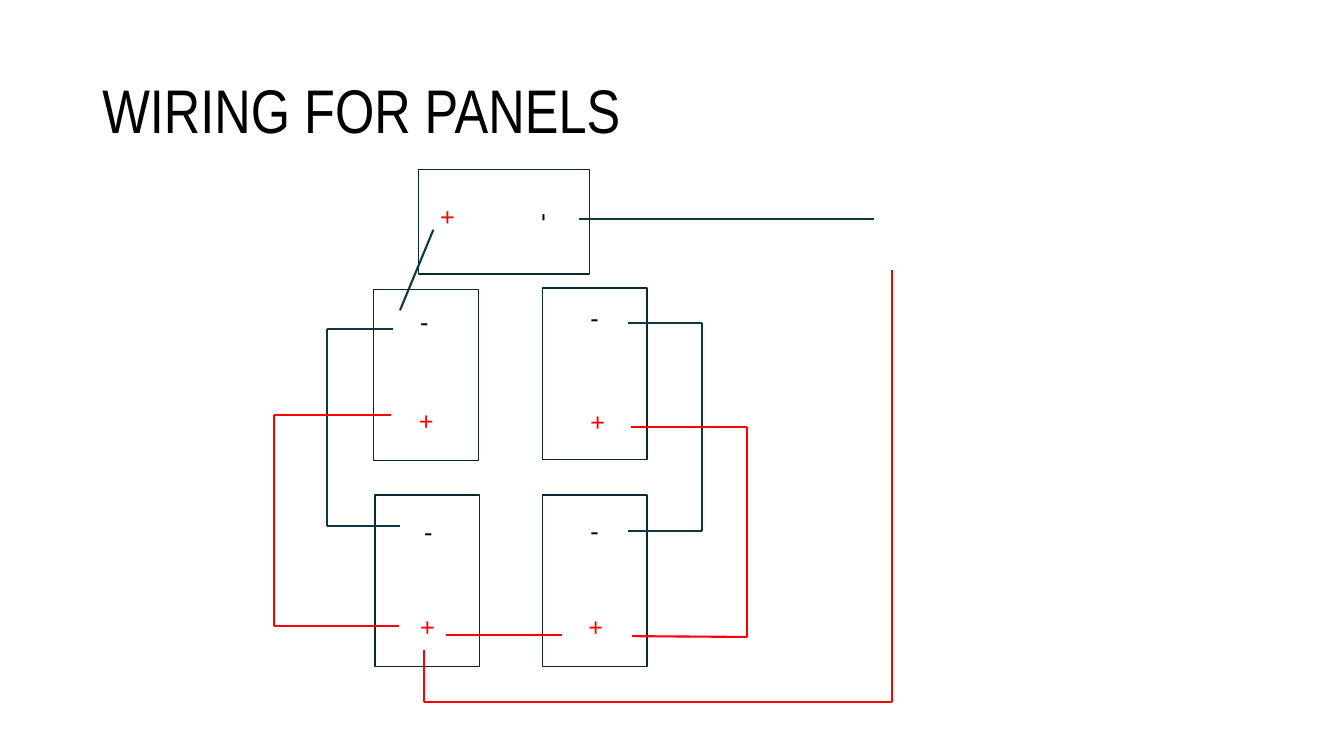
from dataclasses import dataclass
from itertools import pairwise

from lxml import etree
from pptx import Presentation
from pptx.dml.color import RGBColor
from pptx.enum.shapes import MSO_CONNECTOR, MSO_SHAPE
from pptx.enum.text import MSO_ANCHOR, MSO_AUTO_SIZE
from pptx.oxml.ns import qn
from pptx.util import Cm, Pt

STRAIGHT = MSO_CONNECTOR.STRAIGHT
RECTANGLE = MSO_SHAPE.RECTANGLE
MIDDLE = MSO_ANCHOR.MIDDLE
GROW = MSO_AUTO_SIZE.SHAPE_TO_FIT_TEXT


@dataclass(frozen=True)
class Theme:
    black: RGBColor = RGBColor(0x00, 0x00, 0x00)
    red: RGBColor = RGBColor(0xFF, 0x00, 0x00)
    wire: RGBColor = RGBColor(0x0D, 0x38, 0x41)
    outline: RGBColor = RGBColor(0x0A, 0x29, 0x30)
    title_font: str = "Arial Narrow"
    sign_font: str = "Arial"
    title_size: Pt = Pt(44)
    sign_size: Pt = Pt(18)
    outline_width: Pt = Pt(1)
    wire_width: Pt = Pt(1.5)


THEME = Theme()

PANEL_WIDTH, PANEL_HEIGHT = 2.64, 4.32
SIGN_HEIGHT = 1.02
PLUS_WIDTH, MINUS_WIDTH = 0.89, 0.74

# panel corner, plus corner, minus corner, rotation
PANELS = [
    ((9.45, 12.47), (10.34, 15.29), (10.44, 12.88), 0),
    ((13.67, 12.47), (14.58, 15.27), (14.63, 12.85), 0),
    ((9.42, 7.29), (10.31, 10.08), (10.34, 7.59), 0),
    ((13.67, 7.26), (14.63, 10.11), (14.63, 7.49), 0),
    ((11.38, 3.43), (10.87, 5), (13.41, 4.98), 90),
]

NEGATIVE_WIRES = [
    [(9.91, 8.28), (8.23, 8.28), (8.23, 13.26), (10.08, 13.26)],
    [(15.82, 8.15), (17.68, 8.15), (17.68, 13.39), (15.82, 13.39)],
    [(22.02, 5.51), (14.58, 5.51)],
    [(10.92, 5.79), (10.08, 7.82)],
]

POSITIVE_WIRES = [
    [(9.86, 10.46), (6.91, 10.46), (6.91, 15.77), (10.06, 15.77)],
    [(15.9, 10.77), (18.82, 10.77), (18.82, 16.05), (15.93, 16.03)],
    [(14.17, 16), (11.23, 16)],
    [(10.69, 16.38), (10.69, 17.68), (22.48, 17.68), (22.48, 6.81)],
]


def add_text(page, text, corner, size, font, points, color):
    box = page.shapes.add_textbox(*map(Cm, corner + size))
    para = box.text_frame.paragraphs[0]
    para.text = text
    para.font.name = font
    para.font.size = points
    para.font.color.rgb = color
    return box


def add_title(page, text):
    box = add_text(page, text, (2.33, 1.01), (29.21, 3.68),
                   THEME.title_font, THEME.title_size, THEME.black)
    box.text_frame.word_wrap = True
    box.text_frame.vertical_anchor = MIDDLE
    box.text_frame.paragraphs[0].line_spacing = 0.9


def add_sign(page, sign, corner, width, color, rotation):
    box = add_text(page, sign, corner, (width, SIGN_HEIGHT),
                   THEME.sign_font, THEME.sign_size, color)
    box.text_frame.word_wrap = False
    box.text_frame.auto_size = GROW
    box.rotation = rotation


def add_panel(page, corner, plus, minus, rotation):
    panel = page.shapes.add_shape(
        RECTANGLE, *map(Cm, corner + (PANEL_WIDTH, PANEL_HEIGHT)))
    panel.rotation = rotation
    panel.shadow.inherit = False
    panel.fill.background()
    panel.line.color.rgb = THEME.outline
    panel.line.width = THEME.outline_width
    add_sign(page, "+", plus, PLUS_WIDTH, THEME.red, rotation)
    add_sign(page, "-", minus, MINUS_WIDTH, THEME.black, rotation)


def add_wire(page, points, color):
    for start, end in pairwise(points):
        segment = page.shapes.add_connector(STRAIGHT, *map(Cm, start + end))
        segment.line.color.rgb = color
        segment.line.width = THEME.wire_width
        etree.SubElement(segment._element.spPr, qn("a:effectLst"))


def main():
    deck = Presentation()
    deck.slide_width, deck.slide_height = Cm(33.87), Cm(19.05)
    page = deck.slides.add_slide(deck.slide_layouts[6])
    add_title(page, "WIRING FOR PANELS")
    for panel in PANELS:
        add_panel(page, *panel)
    for points in NEGATIVE_WIRES:
        add_wire(page, points, THEME.wire)
    for points in POSITIVE_WIRES:
        add_wire(page, points, THEME.red)
    deck.save("out.pptx")


if __name__ == "__main__":
    main()
